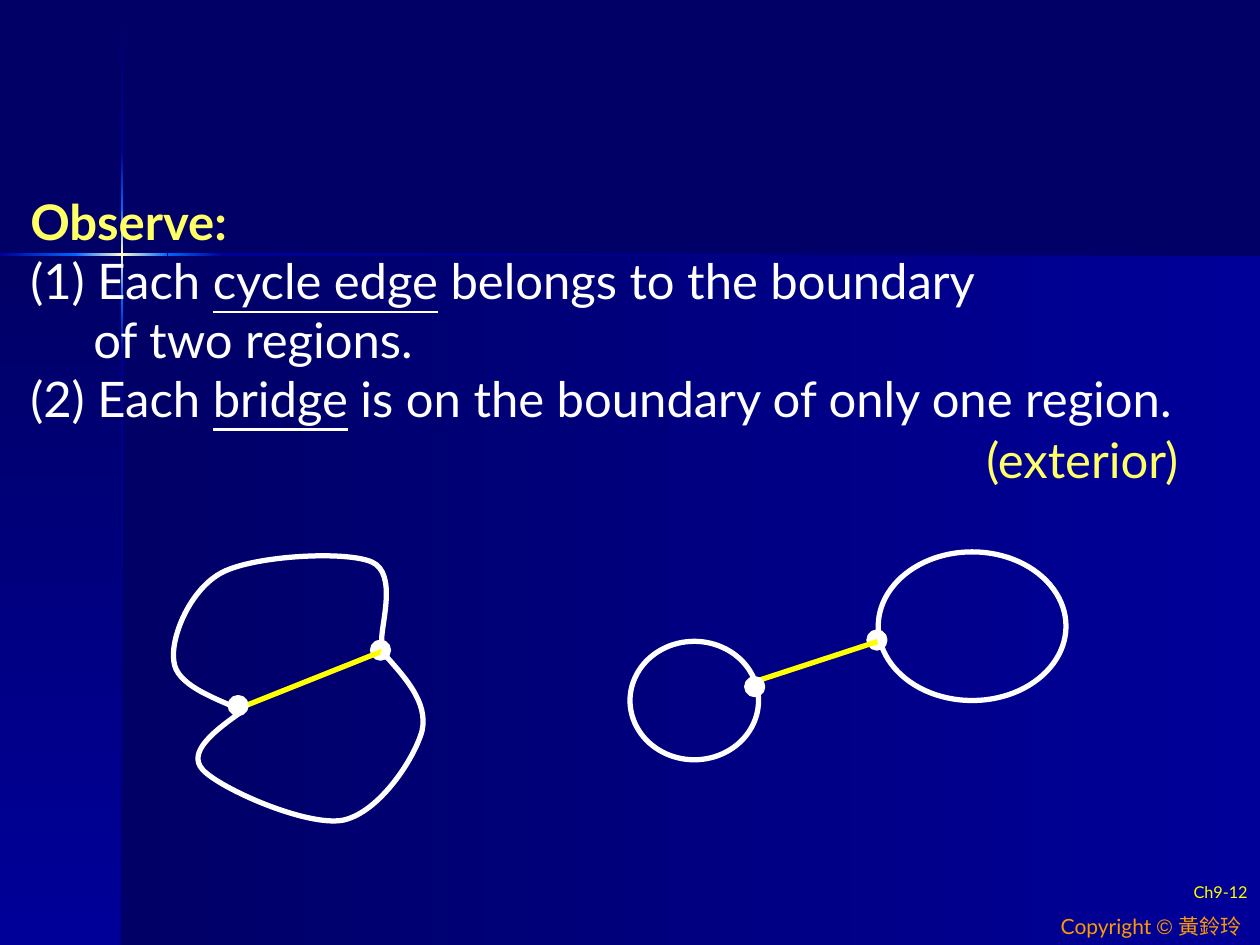
from lxml import etree
from pptx import Presentation
from pptx.dml.color import RGBColor
from pptx.enum import shapes, text
from pptx.oxml import parse_xml
from pptx.oxml.ns import nsdecls, qn
from pptx.util import Inches, Pt

COLORS = {
    "night": "000066", "navy": "000099", "glow": "0066FF", "flare": "FFFFCC",
    "white": "FFFFFF", "yellow": "FFFF00", "lemon": "FFFF66", "orange": "FF9900",
}
FONT = "Lato"
ACROSS, DOWN = 0, 90


def rgb(name):
    return RGBColor.from_string(COLORS[name])


class SlideBuilder:
    def __init__(self, slide):
        self.slide = slide

    def band(self, x, y, w, h, angle, *stops):
        """Rectangle with evenly spaced gradient stops, angle clockwise."""
        sp = self.slide.shapes.add_shape(
            shapes.MSO_SHAPE.RECTANGLE, *map(Inches, (x, y, w, h)))
        sp.shadow.inherit = False
        sp.line.fill.background()
        sp.fill.background()
        step = 100000 // (len(stops) - 1)
        gs = "".join(f'<a:gs pos="{i * step}"><a:srgbClr val="{COLORS[c]}"/></a:gs>'
                     for i, c in enumerate(stops))
        grad = parse_xml(
            f'<a:gradFill {nsdecls("a")} rotWithShape="1"><a:gsLst>{gs}</a:gsLst>'
            f'<a:lin ang="{angle * 60000}" scaled="0"/></a:gradFill>')
        sp_pr = sp._element.spPr
        sp_pr.replace(sp_pr.find(qn("a:noFill")), grad)

    def run(self, p, words, size, color, font=FONT, bold=False, underline=False):
        r = p.add_run()
        r.text = words
        r.font.size, r.font.name = Pt(size), font
        r.font.bold, r.font.underline = bold, underline
        r.font.color.rgb = rgb(color)

    def label(self, x, y, w, h):
        """Empty text box; returns its first paragraph."""
        tf = self.slide.shapes.add_textbox(*map(Inches, (x, y, w, h))).text_frame
        tf.word_wrap = True
        return tf.paragraphs[0]

    def body(self, x, y, w, h):
        sp = self.slide.placeholders[1]
        sp.left, sp.top, sp.width, sp.height = map(Inches, (x, y, w, h))
        tf = sp.text_frame
        tf.word_wrap = True
        tf.auto_size = text.MSO_AUTO_SIZE.NONE
        tf.vertical_anchor = text.MSO_ANCHOR.TOP
        return tf

    def plain_paragraph(self, p, hang=0):
        """Drop the bullet and spacing; hang indents all lines but the first."""
        p.space_before = Pt(0)
        p_pr = p._p.get_or_add_pPr()
        p_pr.set("marL", str(Inches(hang)))
        p_pr.set("indent", str(-Inches(hang)))
        etree.SubElement(p_pr, qn("a:buNone"))

    def ellipse(self, x, y, w, h, weight=3, fill=None):
        sp = self.slide.shapes.add_shape(
            shapes.MSO_SHAPE.OVAL, *map(Inches, (x, y, w, h)))
        self.outline(sp, weight)
        if fill:
            sp.fill.solid()
            sp.fill.fore_color.rgb = rgb(fill)

    def vertex(self, x, y):
        self.ellipse(x, y, 0.14, 0.14, 2, "white")

    def outline(self, sp, weight):
        sp.shadow.inherit = False
        sp.fill.background()
        sp.line.color.rgb = rgb("white")
        sp.line.width = Pt(weight)

    def edge(self, x1, y1, x2, y2):
        line = self.slide.shapes.add_connector(
            shapes.MSO_CONNECTOR.STRAIGHT, *map(Inches, (x1, y1, x2, y2)))
        line.line.color.rgb = rgb("yellow")
        line.line.width = Pt(3)
        etree.SubElement(line._element.spPr, qn("a:effectLst"))

    def curve(self, start, *points):
        """Open Bezier curve; every three points make one segment."""
        builder = self.slide.shapes.build_freeform(
            *map(Inches, start), scale=1.0)
        builder.add_line_segments(
            [tuple(map(Inches, pt)) for pt in points], close=False)
        sp = builder.convert_to_shape()
        self.outline(sp, 3)
        steps = list(sp._element.iter(qn("a:lnTo")))
        for i in range(0, len(steps), 3):
            bezier = etree.SubElement(steps[i].getparent(), qn("a:cubicBezTo"))
            for step in steps[i:i + 3]:
                bezier.append(step[0])
                step.getparent().remove(step)


def draw_backdrop(s):
    s.band(0.97, 2.02, 9.03, 5.48, ACROSS, "night", "navy")
    s.band(0, 2.02, 0.97, 5.48, DOWN, "night", "navy")
    for y, h, *stops in (
            (0.01, 1.2, "night", "navy"), (2.82, 4.68, "navy", "night"),
            (2.38, 0.44, "glow", "navy"), (1.21, 0.44, "navy", "glow"),
            (1.65, 0.73, "glow", "flare", "glow")):
        s.band(0.96, y, 0.02, h, DOWN, *stops)
    for x, w, *stops in (
            (1.77, 8.23, "navy", "night"), (0, 0.61, "navy", "glow"),
            (1.33, 0.44, "glow", "navy"), (0.6, 0.73, "glow", "flare", "glow")):
        s.band(x, 2.01, w, 0.02, ACROSS, *stops)


def write_text(s):
    p = s.label(8.32, 7.2, 1.72, 0.3)
    s.run(p, "Copyright ", 12, "orange")
    s.run(p, "© ", 12, "orange", "Arial")
    s.run(p, "黃鈴玲", 12, "orange")

    p = s.label(7.92, 6.98, 2.08, 0.28)
    p.alignment = text.PP_ALIGN.RIGHT
    p.line_spacing = 0.8
    s.run(p, "Ch9-12", 9.3, "yellow")

    tf = s.body(0.14, 1.47, 9.86, 1.97)
    p = tf.paragraphs[0]
    s.plain_paragraph(p)
    s.run(p, "Observe:", 28, "lemon", bold=True)
    for number, term, *rest in (
            ("(1) Each ", "cycle edge", " belongs to the boundary", "of two regions."),
            ("(2) Each ", "bridge", " is on the boundary of only one region.")):
        p = tf.add_paragraph()
        s.plain_paragraph(p, hang=0.5)
        s.run(p, number, 28, "white")
        s.run(p, term, 28, "white", underline=True)
        for i, words in enumerate(rest):
            if i:
                p.add_line_break()
            s.run(p, words, 28, "white")

    s.run(s.label(7.73, 3.36, 1.87, 0.57), "(exterior)", 28, "lemon")


def draw_graphs(s):
    # Two cycles sharing one edge
    s.vertex(2.95, 5.09)
    s.edge(1.85, 5.64, 3.03, 5.17)
    s.vertex(1.82, 5.53)
    s.curve((1.93, 5.64),
            (1.67, 5.53), (1.4, 5.43), (1.38, 5.25),
            (1.35, 5.06), (1.51, 4.67), (1.77, 4.54),
            (2.03, 4.41), (2.74, 4.37), (2.95, 4.46),
            (3.16, 4.55), (3.02, 4.97), (3.03, 5.09))
    s.curve((1.93, 5.64),
            (1.7, 5.8), (1.48, 5.97), (1.61, 6.11),
            (1.75, 6.26), (2.43, 6.56), (2.72, 6.51),
            (3.01, 6.45), (3.29, 6.02), (3.35, 5.8),
            (3.4, 5.57), (3.21, 5.37), (3.03, 5.17))
    # Two cycles joined by a bridge
    s.vertex(6.89, 5.01)
    s.edge(6.02, 5.4, 6.97, 5.09)
    s.vertex(5.92, 5.38)
    s.ellipse(5, 5.09, 1.02, 0.94)
    s.ellipse(6.97, 4.38, 1.49, 1.18)


def main():
    prs = Presentation()
    prs.slide_width, prs.slide_height = Inches(10), Inches(7.5)
    slide = prs.slides.add_slide(prs.slide_layouts[1])
    title = slide.shapes.title._element
    title.getparent().remove(title)
    slide.background.fill.solid()
    slide.background.fill.fore_color.rgb = rgb("night")
    body = slide.placeholders[1]._element
    s = SlideBuilder(slide)
    draw_backdrop(s)
    slide.shapes._spTree.append(body)  # bring the text in front of the backdrop
    write_text(s)
    draw_graphs(s)
    prs.save("out.pptx")


if __name__ == "__main__":
    main()
